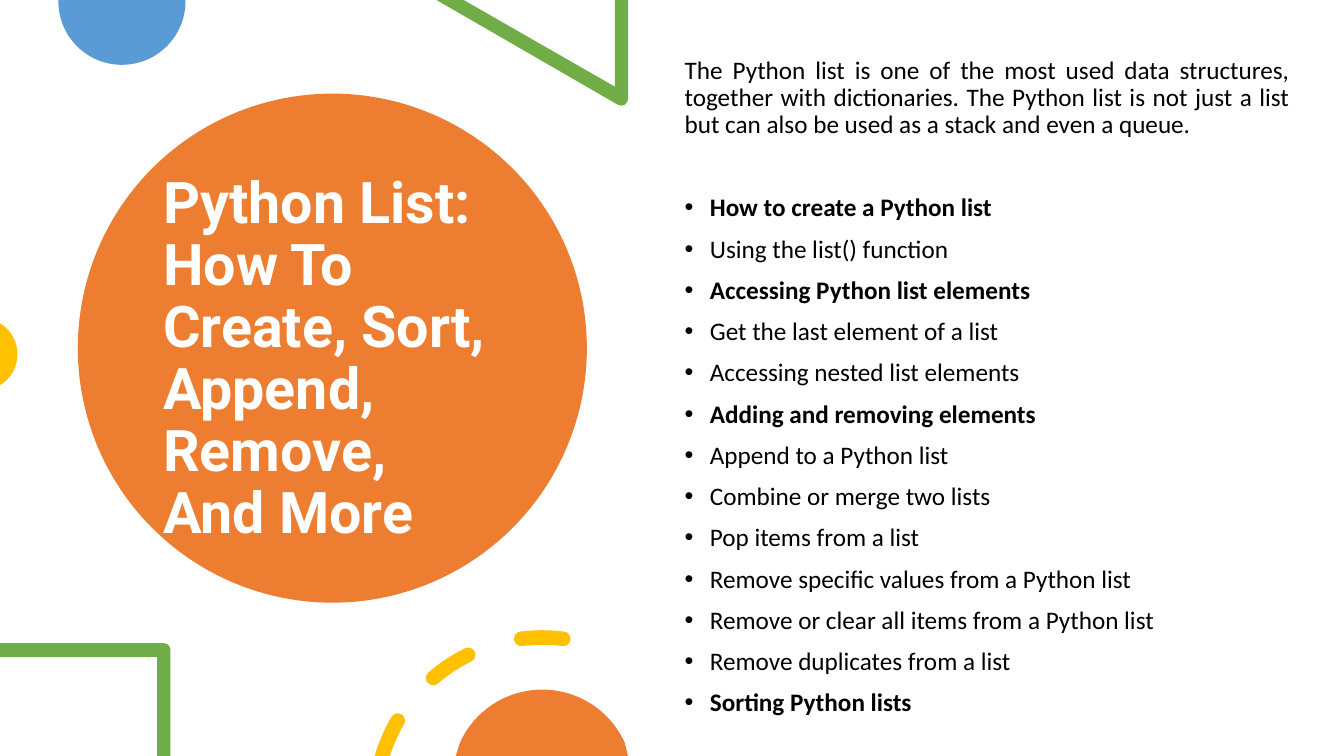
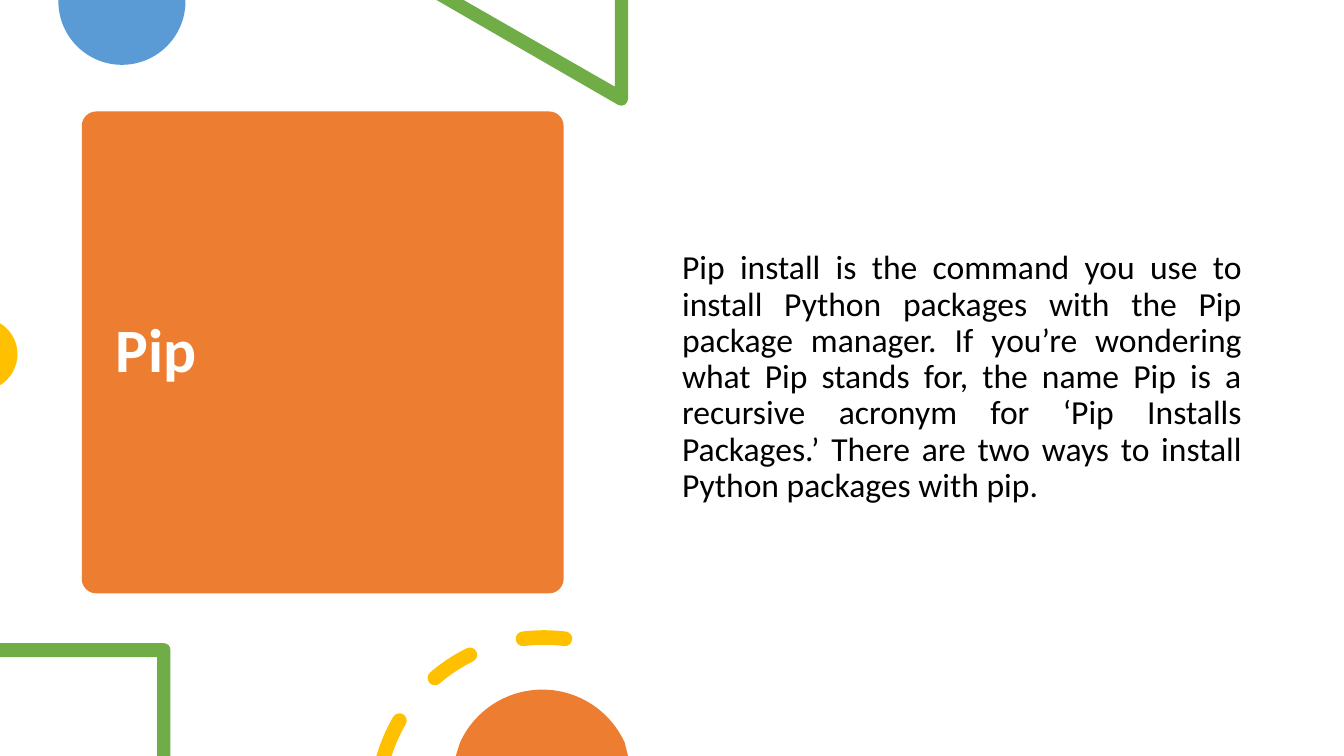
"""Build two slides about Python lists and pip on a shared geometric backdrop."""
from dataclasses import dataclass
from math import asin, cos, degrees, radians, sin, tan

from lxml.etree import SubElement
from pptx import Presentation
from pptx.dml.color import RGBColor
from pptx.enum.shapes import MSO_SHAPE
from pptx.enum.text import MSO_ANCHOR, PP_ALIGN
from pptx.oxml.ns import qn
from pptx.util import Pt


@dataclass(frozen=True)
class Theme:
    orange: str = "ED7D31"
    blue: str = "5B9BD5"
    green: str = "70AD47"
    yellow: str = "FFC000"
    black: str = "000000"
    white: str = "FFFFFF"
    body_font: str = "Calibri"
    display_font: str = "Roboto"
    list_size: float = 18
    body_size: float = 24
    display_size: float = 41
    title_size: float = 44
    line_spacing: float = 0.9
    paragraph_gap: float = 10
    bullet_indent: float = 18


THEME = Theme()
WIDTH, HEIGHT = 960, 540

INTRODUCTION = (
    "The Python list is one of the most used data structures, together with dictionaries. "
    "The Python list is not just a list but can also be used as a stack and even a queue."
)
TOPICS = [
    ("How to create a Python list", ["Using the list() function"]),
    ("Accessing Python list elements", [
        "Get the last element of a list",
        "Accessing nested list elements",
    ]),
    ("Adding and removing elements", [
        "Append to a Python list",
        "Combine or merge two lists",
        "Pop items from a list",
        "Remove specific values from a Python list",
        "Remove or clear all items from a Python list",
        "Remove duplicates from a list",
    ]),
    ("Sorting Python lists", []),
]
PIP_TEXT = (
    "Pip install is the command you use to install Python packages with the Pip package manager. "
    "If you’re wondering what Pip stands for, the name Pip is a recursive acronym for "
    "‘Pip Installs Packages.’ There are two ways to install Python packages with pip."
)


def polar(center, radius, angle):
    turn = radians(angle)
    return center[0] + radius * cos(turn), center[1] + radius * sin(turn)


def arc(center, radius, start, end, pieces=1):
    """Return a start point followed by cubic curves, each holding three points."""
    sweep = (end - start) / pieces
    reach = 4 / 3 * tan(radians(sweep) / 4) * radius
    segments = [(polar(center, radius, start),)]
    for piece in range(pieces):
        begin = start + piece * sweep
        finish = begin + sweep
        first, last = polar(center, radius, begin), polar(center, radius, finish)
        segments.append((polar(first, reach, begin + 90), polar(last, -reach, finish + 90), last))
    return segments


def corners(*points):
    return [(point,) for point in points]


def ring_dash(center, radius, start, end, thickness=10.4):
    half = thickness / 2
    outer, inner = radius + half, radius - half
    outer_start = inner_start = start
    start_cap = []
    start_point = polar(center, radius, start)
    if start_point[1] >= HEIGHT:
        depth = center[1] - HEIGHT
        outer_start, inner_start = (180 + degrees(asin(depth / edge)) for edge in (outer, inner))
    else:
        start_cap = arc(start_point, half, start + 180, start + 360, 2)[1:]
    end_cap = arc(polar(center, radius, end), half, end, end + 180, 2)[1:]
    return arc(center, outer, outer_start, end) + end_cap + arc(center, inner, end, inner_start)[
        0 if not end_cap else 1:] + start_cap


def write(frame, text, first=False, size=THEME.body_size, font=THEME.body_font,
          color=THEME.black, bold=False, align=PP_ALIGN.LEFT,
          gap=THEME.paragraph_gap, bullet=False):
    para = frame.paragraphs[0] if first else frame.add_paragraph()
    para.alignment = align
    para.line_spacing = THEME.line_spacing
    para.space_before = Pt(gap)
    span = para.add_run()
    span.text = text
    span.font.name = font
    span.font.size = Pt(size)
    span.font.bold = bold
    span.font.color.rgb = RGBColor.from_string(color)
    if bullet:
        properties = para._p.get_or_add_pPr()
        properties.set("marL", str(Pt(THEME.bullet_indent)))
        properties.set("indent", str(-Pt(THEME.bullet_indent)))
        SubElement(properties, qn("a:buFont")).set("typeface", "Arial")
        SubElement(properties, qn("a:buChar")).set("char", "•")


class SlideBuilder:
    def __init__(self, deck):
        self.deck = deck
        self.slide = None

    def new_slide(self):
        self.slide = self.deck.slides.add_slide(self.deck.slide_layouts[6])

    def paint(self, shape, color):
        shape.shadow.inherit = False
        shape.fill.solid()
        shape.fill.fore_color.rgb = RGBColor.from_string(color)
        shape.line.fill.background()

    def panel(self, kind, left, top, side, corner=None):
        shape = self.slide.shapes.add_shape(kind, Pt(left), Pt(top), Pt(side), Pt(side))
        if corner is not None:
            shape.adjustments[0] = corner
        self.paint(shape, THEME.orange)

    def outline(self, color, *contours):
        builder = None
        for contour in contours:
            points = [(Pt(x), Pt(y)) for segment in contour for x, y in segment]
            if builder is None:
                builder = self.slide.shapes.build_freeform(*points[0])
            else:
                builder.move_to(*points[0])
            builder.add_line_segments(points[1:], close=True)
        shape = builder.convert_to_shape()
        self.bend(shape, [len(segment) for contour in contours for segment in contour[1:]])
        self.paint(shape, color)

    def bend(self, shape, point_counts):
        lines = iter(list(shape._element.iter(qn("a:lnTo"))))
        for count in point_counts:
            curve = next(lines)
            if count == 3:
                curve.tag = qn("a:cubicBezTo")
                for line in (next(lines), next(lines)):
                    curve.append(line[0])
                    line.getparent().remove(line)

    def text_frame(self, left, top, width, height, anchor=MSO_ANCHOR.TOP, inset=3.6):
        box = self.slide.shapes.add_textbox(Pt(left), Pt(top), Pt(width), Pt(height))
        frame = box.text_frame
        frame.word_wrap = True
        frame.vertical_anchor = anchor
        frame.margin_top = Pt(inset)
        return frame

    def title(self, text, left, top, width, height, size, font):
        frame = self.text_frame(left, top, width, height, MSO_ANCHOR.MIDDLE)
        write(frame, text, first=True, size=size, font=font,
              color=THEME.white, bold=True, gap=0)

    def backdrop(self, ring_x):
        self.outline(THEME.blue, corners((132.5, 0), (41.8, 0)) + arc((87.1, 0.9), 45.4, 180, 0, 2))
        self.outline(THEME.green, corners((448.6, 0), (439.2, 0), (439.2, 61.9),
                                          (331.2, 0), (311.8, 0))
                     + arc((443.8, 70.7), 4.8, 120, 0, 2))
        self.outline(THEME.yellow, arc((-13.4, 253), 25.9, -58.3, 58.3, 2))
        self.outline(THEME.green, corners((0, 459.4)) + arc((117, 464.1), 4.7, 270, 360)
                     + corners((121.7, HEIGHT), (112.3, HEIGHT), (112.3, 469.4), (0, 469.4)))
        spans = [(middle - 7.2, middle + 7.2) for middle in (203, 236.5, 270)]
        self.outline(THEME.yellow, *(ring_dash((ring_x, 574.9), 119.5, start, end)
                                     for start, end in spans))
        self.outline(THEME.orange, corners((325.6, HEIGHT))
                     + arc((387.4, 557.2), 64.6, 204.3, 335.7, 2) + corners((448.6, HEIGHT)))


def list_slide(builder):
    builder.new_slide()
    builder.panel(MSO_SHAPE.OVAL, 55.6, 66.9, 363.6)
    builder.title("Python List: How To Create, Sort, Append, Remove, And More",
                  109.4, 97.2, 253, 320.4, THEME.display_size, THEME.display_font)
    builder.backdrop(387.4)
    frame = builder.text_frame(482, 37.7, 446.4, 447.1)
    style = {"size": THEME.list_size, "align": PP_ALIGN.JUSTIFY}
    write(frame, INTRODUCTION, first=True, **style)
    gap = 39.8
    for heading, details in TOPICS:
        write(frame, heading, bold=True, bullet=True, gap=gap, **style)
        gap = THEME.paragraph_gap
        for detail in details:
            write(frame, detail, bullet=True, **style)


def pip_slide(builder):
    builder.new_slide()
    builder.panel(MSO_SHAPE.ROUNDED_RECTANGLE, 58.4, 79.6, 344.2, corner=0.03)
    builder.title("Pip", 75.6, 87.8, 310.3, 328.3, THEME.title_size, THEME.body_font)
    builder.backdrop(388.6)
    frame = builder.text_frame(480.1, 64.8, 414, 385.2, inset=114.3)
    write(frame, PIP_TEXT, first=True, align=PP_ALIGN.JUSTIFY)


def main():
    deck = Presentation()
    deck.slide_width, deck.slide_height = Pt(WIDTH), Pt(HEIGHT)
    builder = SlideBuilder(deck)
    list_slide(builder)
    pip_slide(builder)
    deck.save("out.pptx")


if __name__ == "__main__":
    main()
